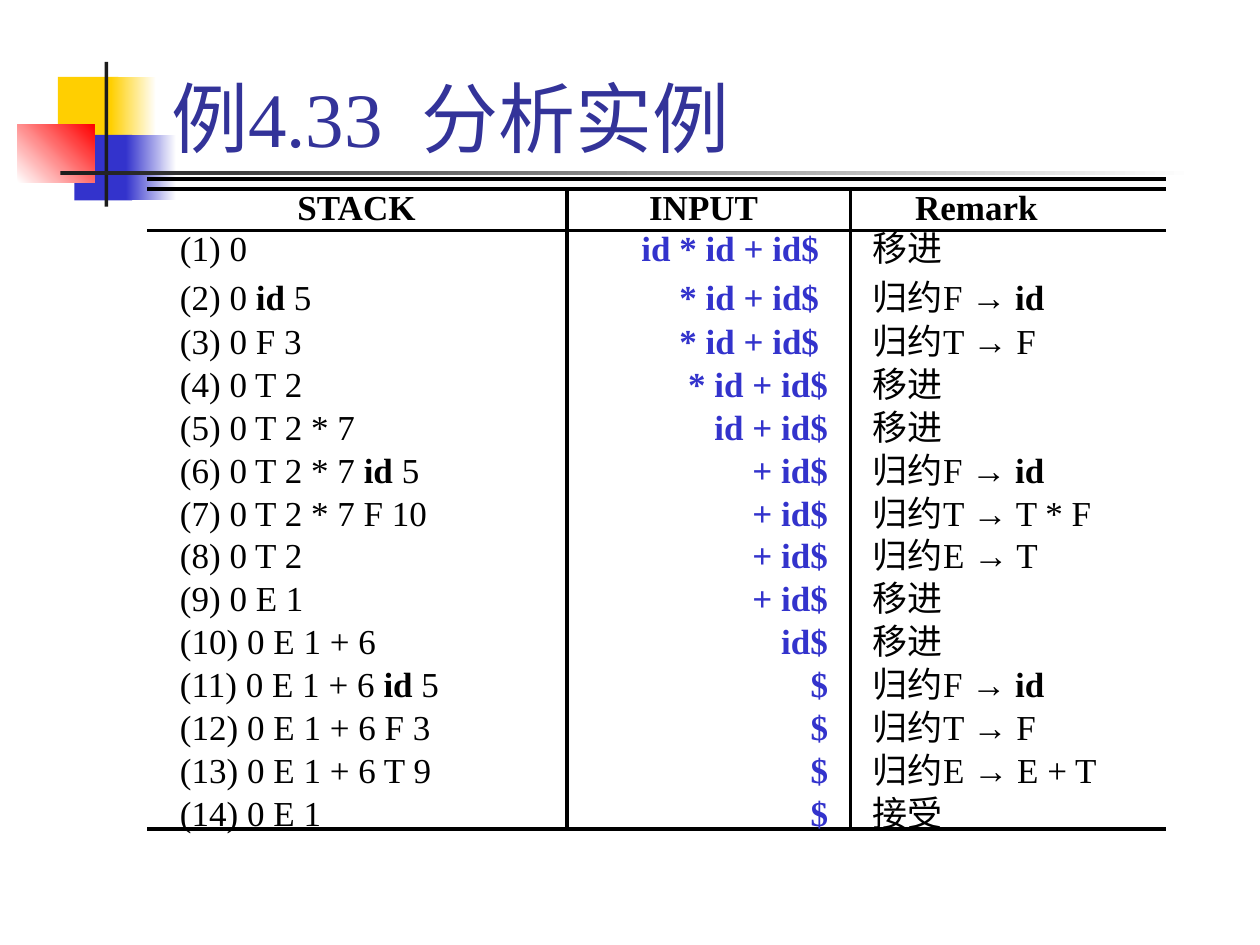
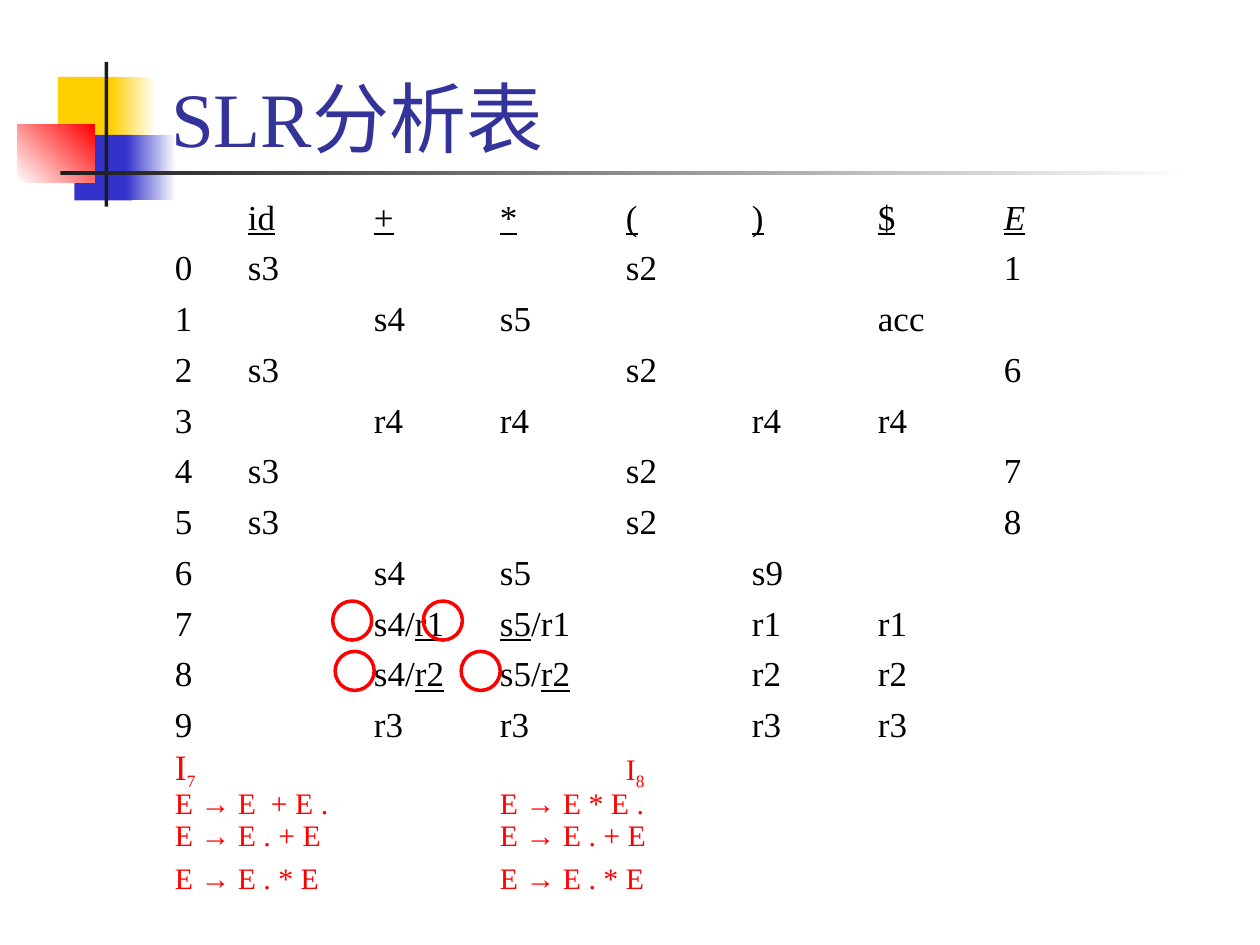
from collections import namedtuple

from lxml import etree
from pptx import Presentation
from pptx.dml.color import RGBColor
from pptx.enum.shapes import MSO_CONNECTOR, MSO_SHAPE
from pptx.enum.text import MSO_ANCHOR, PP_ALIGN
from pptx.oxml.ns import qn
from pptx.util import Inches, Pt

RECTANGLE, OVAL = MSO_SHAPE.RECTANGLE, MSO_SHAPE.OVAL
STRAIGHT = MSO_CONNECTOR.STRAIGHT
LEFT, CENTER, RIGHT = PP_ALIGN.LEFT, PP_ALIGN.CENTER, PP_ALIGN.RIGHT
TOP, BOTTOM = MSO_ANCHOR.TOP, MSO_ANCHOR.BOTTOM

BLACK = RGBColor(0x00, 0x00, 0x00)
WHITE = RGBColor(0xFF, 0xFF, 0xFF)
CHARCOAL = RGBColor(0x1C, 0x1C, 0x1C)
YELLOW = RGBColor(0xFF, 0xCF, 0x01)
BLUE = RGBColor(0x33, 0x33, 0xCC)
NAVY = RGBColor(0x33, 0x33, 0x99)
RED = RGBColor(0xFF, 0x00, 0x00)

SERIF, ARROW_FONT = "Times New Roman", "Arial"
HANGING = 0.58

Box = namedtuple("Box", "left top width height")

TITLE_BOX = Box(1.26, 0.09, 8.52, 1.25)
TRACE_BOX = Box(1.17, 1.42, 8.08, 5.16)
PARSE_BOX = Box(1.29, 1.5, 8.5, 5.83)
ITEMS_BOX = Box(1.29, 5.88, 8.5, 1.37)

STACK = [
    "(1) 0", "(2) 0 |id| 5", "(3) 0 F 3", "(4) 0 T 2", "(5) 0 T 2 * 7",
    "(6) 0 T 2 * 7 |id |5", "(7) 0 T 2 * 7 F 10", "(8) 0 T 2", "(9) 0 E 1",
    "(10) 0 E 1 + 6", "(11) 0 E 1 + 6 |id| 5", "(12) 0 E 1 + 6 F 3",
    "(13) 0 E 1 + 6 T 9", "(14) 0 E 1",
]
INPUT = [
    "id * id + id$ ", "* id + id$ ", "* id + id$ ", "* id + id$", "id + id$",
    "+ id$", "+ id$", "+ id$", "+ id$", "id$", "$", "$", "$", "$",
]
REMARK = [
    "移进", "归约F → |id|", "归约T → F", "移进", "移进", "归约F → |id|",
    "归约T → T * F", "归约E → T", "移进", "移进", "归约F → |id|",
    "归约T → F", "归约E → E + T", "接受",
]
PARSE_ROWS = [
    "|\tid\t+\t*\t(\t)\t$\t||E|",
    "0\ts3\t\t\ts2\t\t\t1",
    "1\t\ts4\ts5\t\t\tacc",
    "2\ts3\t\t\ts2\t\t\t6",
    "3\t\tr4\tr4\t\tr4\tr4",
    "4\ts3\t\t\ts2\t\t\t7",
    "5\ts3\t\t\ts2\t\t\t8",
    "6\t\ts4\ts5\t\ts9",
    "7\t\ts4/|r1|\t|s5|/r1\t\tr1\tr1",
    "8\t\ts4/|r2|\ts5/|r2|\t\tr2\tr2",
    "9\t\tr3\tr3\t\tr3\tr3",
]
ITEM_ROWS = [
    "I|7|\t\t\t\tI|8|",
    "E → E  + E . \t\tE → E * E .",
    "E → E . + E\t\tE → E . + E",
    "E → E . * E\t\tE → E . * E",
]


def bold(span):
    """Make a run bold."""
    span.font.bold = True


def underline(span):
    """Underline a run."""
    span.font.underline = True


def subscript(span):
    """Lower a run below the baseline."""
    span._r.get_or_add_rPr().set("baseline", "-25000")


def set_hanging_tabs(para):
    """Give a paragraph a hanging indent and tab stops every inch."""
    properties = para._p.get_or_add_pPr()
    properties.set("marL", str(Inches(HANGING)))
    properties.set("indent", str(-Inches(HANGING)))
    properties.set("defTabSz", str(Inches(1)))
    tabs = etree.SubElement(properties, qn("a:tabLst"))
    for stop in range(8):
        etree.SubElement(tabs, qn("a:tab"), pos=str(Inches(stop)), algn="l")


def add_spans(para, line, size, color, emphasis):
    """Write a line whose parts between bars are emphasised."""
    for index, part in enumerate(line.split("|")):
        for piece in part.replace("→", "\0→\0").split("\0"):
            if not piece:
                continue
            span = para.add_run()
            span.text = piece
            span.font.size = Pt(size)
            span.font.color.rgb = color
            span.font.name = ARROW_FONT if piece == "→" else SERIF
            if index % 2:
                emphasis(span)


def add_text(page, box, lines, size=20, color=BLACK, emphasis=bold,
             align=LEFT, anchor=TOP, hanging=False):
    """Add a text box with one paragraph per line and return its paragraphs."""
    frame = page.shapes.add_textbox(*map(Inches, box)).text_frame
    frame.word_wrap = True
    frame.vertical_anchor = anchor
    for index, line in enumerate(lines):
        para = frame.add_paragraph() if index else frame.paragraphs[0]
        if hanging:
            set_hanging_tabs(para)
        para.alignment = align
        add_spans(para, line, size, color, emphasis)
    return frame.paragraphs


def add_block(page, box, color, fade_to=None, angle=0):
    """Add a borderless rectangle, solid or fading to a second colour."""
    block = page.shapes.add_shape(RECTANGLE, *map(Inches, box))
    block.shadow.inherit = False
    block.line.fill.background()
    if fade_to is None:
        block.fill.solid()
        block.fill.fore_color.rgb = color
        return
    block.fill.gradient()
    block.fill.gradient_angle = angle
    for stop, shade in zip(block.fill.gradient_stops, (color, fade_to)):
        stop.color.rgb = shade


def add_rule(page, x1, y1, x2, y2):
    """Add a black table rule."""
    rule = page.shapes.add_connector(STRAIGHT, *map(Inches, (x1, y1, x2, y2)))
    rule.line.color.rgb = BLACK
    rule.line.width = Pt(2)
    etree.SubElement(rule._element.spPr, qn("a:effectLst"))


def add_page(deck, title):
    """Add a slide with the corner blocks, fading rule and title."""
    page = deck.slides.add_slide(deck.slide_layouts[6])
    add_block(page, Box(0.46, 0.61, 0.48, 0.52), YELLOW)
    add_block(page, Box(0.88, 0.61, 0.36, 0.52), YELLOW, WHITE)
    add_block(page, Box(0.59, 1.07, 0.46, 0.52), BLUE)
    add_block(page, Box(1, 1.07, 0.4, 0.52), BLUE, WHITE)
    add_block(page, Box(0.14, 0.99, 0.61, 0.46), WHITE, RED, 45)
    add_block(page, Box(0.83, 0.49, 0.03, 1.15), CHARCOAL)
    add_block(page, Box(0.48, 1.36, 9, 0.03), CHARCOAL, WHITE)
    add_text(page, TITLE_BOX, [title], 44, NAVY, anchor=BOTTOM)
    return page


def add_trace(page, box):
    """Add the ruled trace of stack, input and remark."""
    right, bottom = box.left + box.width, box.top + box.height
    for offset in (0, 0.08, 0.41, box.height):
        add_rule(page, box.left, box.top + offset, right, box.top + offset)
    for offset in (3.33, 5.58):
        add_rule(page, box.left + offset, box.top + 0.08,
                 box.left + offset, bottom)
    for heading, offset, width in (("STACK", 0.91, 1.5), ("INPUT", 3.75, 1.33),
                                   ("Remark", 5.83, 1.5)):
        add_text(page, Box(box.left + offset, box.top, width, 0.44),
                 [f"|{heading}|"], align=CENTER)
    inputs = [f"|{line}|" for line in INPUT]
    for lines, offset, width, color, align in (
            (STACK, 0.16, 3.08, BLACK, LEFT),
            (inputs, 3.5, 2, BLUE, RIGHT),
            (REMARK, 5.66, 2.42, BLACK, LEFT)):
        column = Box(box.left + offset, box.top + 0.33, width, 4.9)
        paras = add_text(page, column, lines, color=color, align=align)
        for index, para in enumerate(paras[1:]):
            para.space_before = Pt(12.5)
            para.line_spacing = 0.5 if index else 0.6


def add_parse_table(page, box):
    """Add the tabbed parse table with its conflicts circled."""
    paras = add_text(page, box, PARSE_ROWS, emphasis=underline, hanging=True)
    paras[0].runs[-1].font.italic = True
    for para in paras[1:]:
        para.space_before = Pt(5)
    for left, top in ((1.35, 3.27), (2.07, 3.27), (1.37, 3.67), (2.37, 3.67)):
        ring = page.shapes.add_shape(
            OVAL, Inches(box.left + left), Inches(box.top + top),
            Inches(0.31), Inches(0.31))
        ring.shadow.inherit = False
        ring.fill.background()
        ring.line.color.rgb = RED
        ring.line.width = Pt(2)


def add_items(page, box):
    """Add the item sets behind the conflicts."""
    paras = add_text(page, box, ITEM_ROWS, 17, RED, subscript, hanging=True)
    paras[0].runs[0].font.size = Pt(20.4)
    for para in paras[:-1]:
        para.line_spacing = 0.9
    paras[-1].line_spacing = 0.5
    paras[-1].space_before = Pt(12.5)


def main():
    """Build both slides and save the deck."""
    deck = Presentation()
    deck.slide_width, deck.slide_height = Inches(10), Inches(7.5)
    add_trace(add_page(deck, "例4.33  分析实例"), TRACE_BOX)
    page = add_page(deck, "SLR分析表")
    add_parse_table(page, PARSE_BOX)
    add_items(page, ITEMS_BOX)
    deck.save("out.pptx")


if __name__ == "__main__":
    main()
